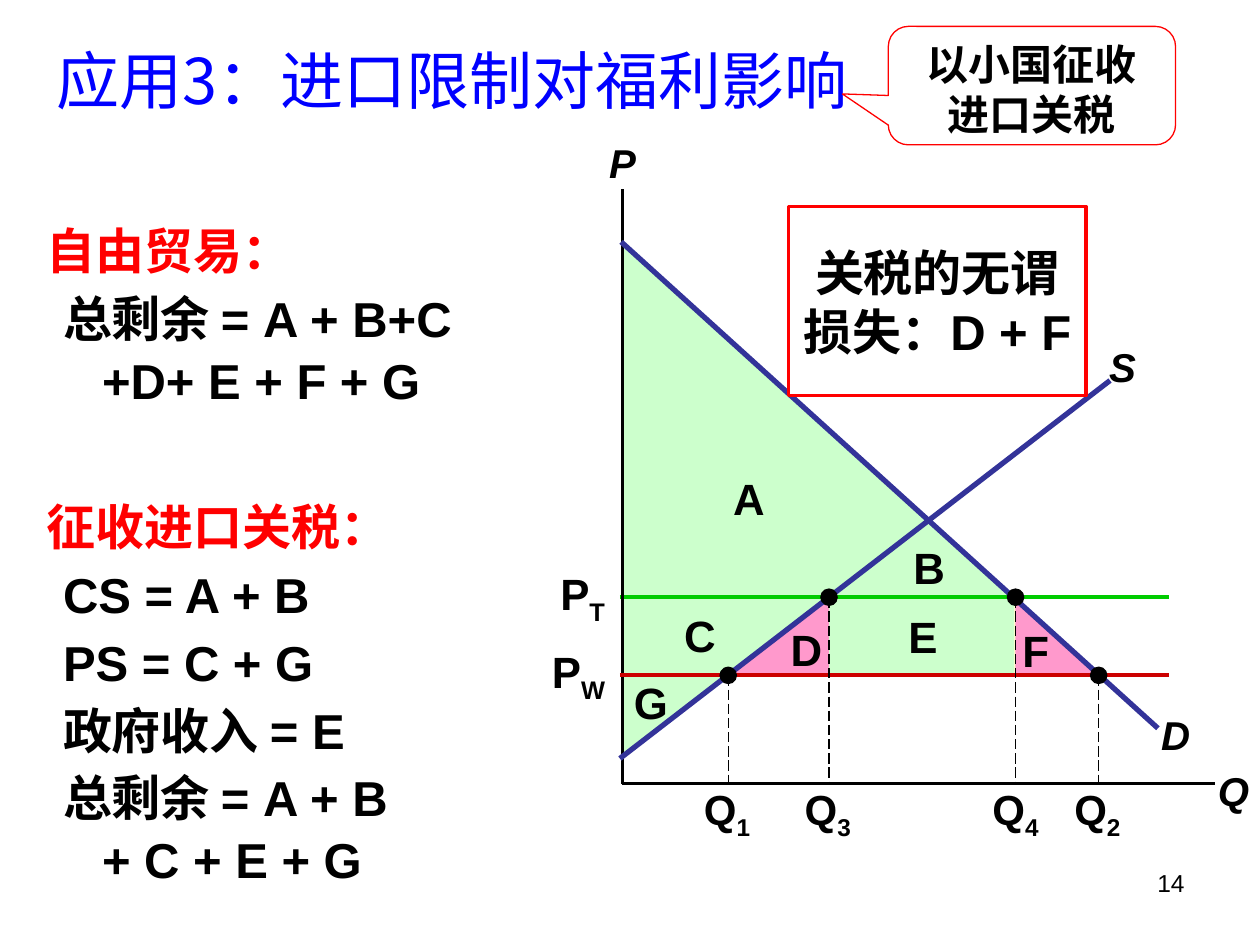
"""Build a slide on the welfare effects of an import tariff."""
from dataclasses import dataclass

from pptx import Presentation, util as u
from pptx.dml import color
from pptx.enum import dml, shapes, text
from pptx.oxml import ns, xmlchemy

SHAPE = shapes.MSO_SHAPE
ALIGN = text.PP_ALIGN
ANCHOR = text.MSO_ANCHOR
BLACK, RED, BLUE, WHITE = "000000", "FF0000", "333399", "FFFFFF"
YELLOW, GREEN, PINK = "FFFFCC", "CCFFCC", "FF99CC"


def rgb(value):
    return color.RGBColor.from_string(value)


def inches(*values):
    return [u.Inches(value) for value in values]


@dataclass
class SlideBuilder:
    slide: object
    latin: str = "Arial"
    chinese: str = "Noto Sans CJK SC"

    def style(self, paragraph, size, ink=BLACK, bold=True, italic=False, latin=None):
        for run in paragraph.runs:
            font = run.font
            font.size, font.bold, font.italic = u.Pt(size), bold, italic
            font.color.rgb = rgb(ink)
            font.name = latin or self.latin
            east_asian = xmlchemy.OxmlElement("a:ea")
            east_asian.set("typeface", self.chinese)
            run._r.get_or_add_rPr().append(east_asian)

    def place(self, shape, box):
        shape.left, shape.top, shape.width, shape.height = inches(*box)

    def title(self, words, box):
        shape = self.slide.shapes.title
        self.place(shape, box)
        frame = shape.text_frame
        frame.text = words
        frame.auto_size = text.MSO_AUTO_SIZE.NONE
        frame.vertical_anchor = ANCHOR.MIDDLE
        paragraph = frame.paragraphs[0]
        paragraph.alignment = ALIGN.LEFT
        self.style(paragraph, 36, "0000FF", False, latin=self.chinese)

    def body(self, sections, box, section_gap):
        shape = self.slide.placeholders[1]
        self.place(shape, box)
        frame = shape.text_frame
        frame.auto_size = text.MSO_AUTO_SIZE.NONE
        for index, (heading, lines) in enumerate(sections):
            paragraph = frame.add_paragraph() if index else frame.paragraphs[0]
            self.body_line(paragraph, heading, 0, section_gap if index else 0, RED)
            for line in lines:
                self.body_line(frame.add_paragraph(), line, 1, 3.5, BLACK)

    def body_line(self, paragraph, words, level, space_before, ink):
        margin, indent = [(0.38, -0.38), (0.44, -0.31)][level]
        paragraph.text = words
        paragraph.level = level
        paragraph.space_before = u.Pt(space_before)
        paragraph.line_spacing = 1.05 if level else 1.0
        properties = paragraph._p.get_or_add_pPr()
        properties.set("marL", str(u.Inches(margin)))
        properties.set("indent", str(u.Inches(indent)))
        properties.append(xmlchemy.OxmlElement("a:buNone"))
        self.style(paragraph, 28, ink)

    def shape(self, kind, box, fill, line=None, width=1):
        shape = self.slide.shapes.add_shape(kind, *inches(*box))
        shape.shadow.inherit = False
        shape.fill.solid()
        shape.fill.fore_color.rgb = rgb(fill)
        if line:
            shape.line.color.rgb = rgb(line)
            shape.line.width = u.Pt(width)
        else:
            shape.line.fill.background()
        return shape

    def triangle(self, box, fill, flip=None):
        shape = self.shape(SHAPE.RIGHT_TRIANGLE, box, fill)
        if flip:
            shape._element.spPr.find(ns.qn("a:xfrm")).set(flip, "1")

    def note(self, kind, box, words, size, width, anchor):
        shape = self.shape(kind, box, WHITE, RED, width)
        frame = shape.text_frame
        frame.word_wrap = True
        frame.vertical_anchor = anchor
        frame.text = words
        frame.paragraphs[0].alignment = ALIGN.CENTER
        self.style(frame.paragraphs[0], size)
        return shape

    def line(self, start, end, ink, width, dash=None):
        line = self.slide.shapes.add_connector(
            shapes.MSO_CONNECTOR.STRAIGHT, *inches(*start, *end))
        line.line.color.rgb = rgb(ink)
        line.line.width = u.Pt(width)
        if dash:
            line.line.dash_style = dash
        line._element.spPr.append(xmlchemy.OxmlElement("a:effectLst"))

    def label(self, words, box, size, align=ALIGN.CENTER, subscript="", bold=True,
              italic=False):
        frame = self.slide.shapes.add_textbox(*inches(*box)).text_frame
        frame.word_wrap = True
        frame.vertical_anchor = ANCHOR.MIDDLE
        frame.margin_left = frame.margin_top = frame.margin_bottom = 0
        frame.margin_right = u.Inches(0.1 if align == ALIGN.RIGHT else 0)
        frame.text = words
        paragraph = frame.paragraphs[0]
        paragraph.alignment = align
        if subscript:
            run = paragraph.add_run()
            run.text = subscript
            run.font._element.set("baseline", "-25000")
        self.style(paragraph, size, bold=bold, italic=italic)

    def price(self, subscript, y, ink):
        self.line((4.92, y), (9.28, y), ink, 2.25)
        self.label("P", (4.1, y - 0.24, 0.8, 0.47), 25, ALIGN.RIGHT, subscript)

    def quantity(self, subscript, x, y, label_left, label_width=0.6):
        self.line((x, y), (x, 6.22), BLACK, 0.75, dml.MSO_LINE.LONG_DASH)
        self.shape(SHAPE.OVAL, (x - 0.07, y - 0.07, 0.14, 0.14), BLACK)
        self.label("Q", (label_left, 6.22, label_width, 0.46), 24, subscript=subscript)


def main():
    presentation = Presentation()
    presentation.slide_width, presentation.slide_height = inches(10, 7.5)
    slide = presentation.slides.add_slide(presentation.slide_layouts[1])
    builder = SlideBuilder(slide)
    tariff_price, world_price = 4.74, 5.36

    builder.title("应用3：进口限制对福利影响", (0.35, 0.21, 6.54, 0.84))
    builder.body([
        ("自由贸易：", ["总剩余 = A + B+C \v+D+ E + F + G"]),
        ("征收进口关税：", ["CS = A + B", "PS = C + G", "政府收入 = E",
                     "总剩余 = A + B \v+ C + E + G"]),
    ], (0.27, 1.7, 3.78, 5.43), section_gap=50)

    for box, fill, flip in [
        ((4.93, 1.93, 3.75, 3.41), YELLOW, None),
        ((5.8, 4.76, 0.78, 0.59), PINK, "flipH"),
        ((8.06, 4.76, 0.64, 0.59), PINK, None),
        ((4.93, 5.36, 0.84, 0.65), YELLOW, "flipV"),
        ((4.93, 4.74, 1.62, 1.26), GREEN, "flipV"),
        ((4.93, 1.93, 3.1, 2.81), GREEN, None),
    ]:
        builder.triangle(box, fill, flip)
    builder.shape(SHAPE.RECTANGLE, (6.58, 4.74, 1.47, 0.61), GREEN)

    builder.price("T", tariff_price, "00CC00")
    builder.line((4.94, 1.5), (4.94, 6.22), BLACK, 2)
    builder.line((4.94, 6.22), (9.64, 6.22), BLACK, 2)
    builder.line((4.93, 1.92), (9.19, 5.78), BLUE, 3)
    builder.line((4.92, 6.02), (8.81, 3.02), BLUE, 3)
    builder.price("W", world_price, "CC0000")
    for name, left, top, width in [("P", 4.73, 1.04, 0.42), ("Q", 9.58, 6.03, 0.42),
                                   ("D", 9.09, 5.58, 0.48), ("S", 8.71, 2.66, 0.4)]:
        builder.label(name, (left, top, width, 0.49), 23, italic=True)

    builder.quantity("1", 5.78, world_price, 5.44, 0.66)
    builder.quantity("3", 6.58, tariff_price, 6.27)
    builder.quantity("4", 8.06, tariff_price, 7.76)
    builder.quantity("2", 8.72, world_price, 8.41)

    for name, left, top, width in [
        ("A", 5.71, 3.74, 0.47), ("B", 7.14, 4.29, 0.47), ("D", 6.21, 4.94, 0.38),
        ("E", 7.09, 4.84, 0.47), ("G", 4.93, 5.36, 0.47), ("F", 8.03, 4.95, 0.38),
        ("C", 5.32, 4.83, 0.47),
    ]:
        builder.label(name, (left, top, width, 0.42), 25)

    builder.note(SHAPE.RECTANGLE, (6.26, 1.64, 2.36, 1.5), "关税的无谓损失：D + F",
                 28, 2, ANCHOR.MIDDLE)
    callout = builder.note(SHAPE.ROUNDED_RECTANGULAR_CALLOUT, (7.05, 0.21, 2.28, 0.94),
                           "以小国征收进口关税", 24, 0.75, ANCHOR.TOP)
    for index, value in enumerate((-0.66, 0.07, 0.17)):
        callout.adjustments[index] = value
    builder.label("14", (7.17, 6.88, 2.33, 0.25), 14, ALIGN.RIGHT, bold=False)

    presentation.save("out.pptx")


if __name__ == "__main__":
    main()
